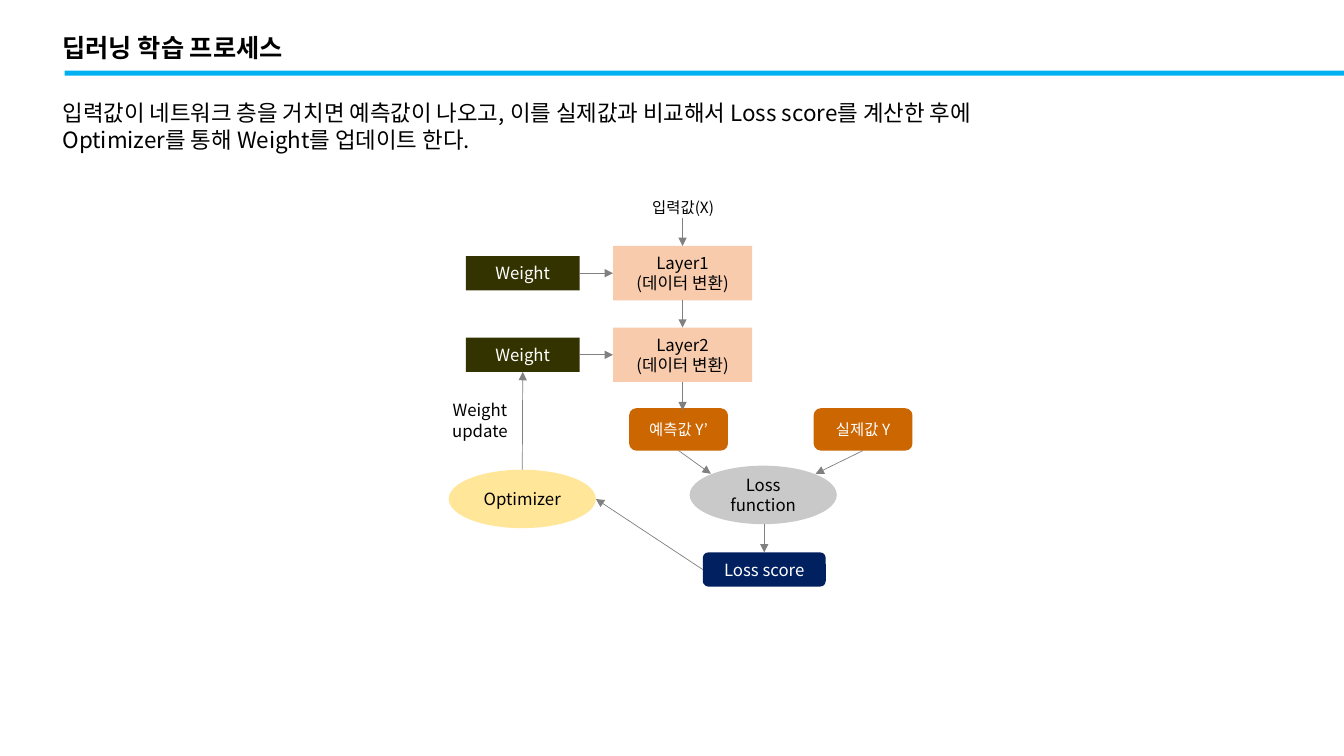
from lxml.etree import SubElement
from pptx import Presentation
from pptx.dml.color import RGBColor
from pptx.enum.shapes import MSO_CONNECTOR, MSO_SHAPE
from pptx.enum.text import MSO_ANCHOR, MSO_AUTO_SIZE, PP_ALIGN
from pptx.oxml.ns import qn
from pptx.util import Emu, Pt

PX = 9144  # 100 px to the inch
FONT = "Noto Sans CJK KR"
COLORS = {
    "black": "000000", "white": "FFFFFF", "rule": "00B0F0", "arrow": "808080",
    "layer": "F8CBAD", "weight": "333300", "optimizer": "FFE699",
    "loss": "C9C9C9", "value": "CC6600", "score": "002060",
}
TOP, LEFT, BOTTOM, RIGHT = range(4)


def px(*values):
    return [Emu(v * PX) for v in values]


def rgb(name):
    return RGBColor.from_string(COLORS[name])


def write(tf, lines, size, color="black", align=PP_ALIGN.CENTER,
          anchor=MSO_ANCHOR.MIDDLE, bold=False, wrap=True):
    tf.word_wrap = wrap
    tf.auto_size = MSO_AUTO_SIZE.NONE
    tf.vertical_anchor = anchor
    for i, line in enumerate(lines):
        p = tf.add_paragraph() if i else tf.paragraphs[0]
        p.alignment = align
        p.space_before = Pt(0)
        r = p.add_run()
        r.text = line
        r.font.size = Pt(size)
        r.font.bold = bold
        r.font.name = FONT
        r.font.color.rgb = rgb(color)
        SubElement(r.font._element, qn("a:ea")).set("typeface", FONT)


def fill_placeholder(sp, box, lines, size, **style):
    sp.left, sp.top, sp.width, sp.height = px(*box)
    write(sp.text_frame, lines, size, align=PP_ALIGN.LEFT, **style)
    for p in sp.text_frame.paragraphs:
        pPr = p._p.get_or_add_pPr()
        pPr.set("marL", "0")
        pPr.set("indent", "0")
        SubElement(pPr, qn("a:buNone"))


def add_node(s, kind, box, fill, lines=(), size=12, color="black"):
    sp = s.shapes.add_shape(kind, *px(*box))
    sp.shadow.inherit = False
    sp.fill.solid()
    sp.fill.fore_color.rgb = rgb(fill)
    sp.line.fill.background()
    write(sp.text_frame, lines, size, color)
    return sp


def add_label(s, box, lines, size):
    sp = s.shapes.add_textbox(*px(*box))
    write(sp.text_frame, lines, size, anchor=MSO_ANCHOR.TOP, wrap=False)


def add_arrow(s, start, end, source=None, target=None):
    """source and target are (shape, side) pairs to join."""
    cx = s.shapes.add_connector(MSO_CONNECTOR.STRAIGHT, *px(*start, *end))
    if source:
        cx.begin_connect(*source)
    if target:
        cx.end_connect(*target)
    cx.line.color.rgb = rgb("arrow")
    cx.line.width = Pt(0.5)
    SubElement(cx.line._get_or_add_ln(), qn("a:tailEnd")).set("type", "triangle")
    SubElement(cx._element.spPr, qn("a:effectLst"))


def main():
    prs = Presentation()
    prs.slide_width, prs.slide_height = px(1333, 750)
    s = prs.slides.add_slide(prs.slide_layouts[1])

    # Heading and explanation
    add_node(s, MSO_SHAPE.RECTANGLE, (64, 70, 1269, 5), "rule")
    title, body = s.placeholders
    fill_placeholder(title, (52, 27, 604, 40), ["딥러닝 학습 프로세스"], 18, bold=True)
    fill_placeholder(body, (52, 93, 1212, 64), [
        "입력값이 네트워크 층을 거치면 예측값이 나오고, 이를 실제값과 비교해서 Loss score를 계산한 후에",
        "Optimizer를 통해 Weight를 업데이트 한다.",
    ], 16, anchor=MSO_ANCHOR.TOP)

    # Layers with their weights
    layers, weights = [], []
    for i in range(2):
        y = 244 + 81 * i
        layers.append(add_node(s, MSO_SHAPE.RECTANGLE, (608, y, 138, 54), "layer",
                               [f"Layer{i + 1}", "(데이터 변환)"]))
        weights.append(add_node(s, MSO_SHAPE.RECTANGLE, (462, y + 10, 113, 34),
                                "weight", ["Weight"], color="white"))

    # Predicted and actual values
    predicted, actual = [
        add_node(s, MSO_SHAPE.ROUNDED_RECTANGLE, (x, 405, 98, 42), "value",
                 [text], 11, "white")
        for x, text in ((624, "예측값 Y’"), (807, "실제값 Y"))]

    # Loss and optimizer
    add_node(s, MSO_SHAPE.OVAL, (684, 462, 146, 58), "loss", ["Loss function"])
    add_node(s, MSO_SHAPE.OVAL, (445, 466, 146, 58), "optimizer", ["Optimizer"])
    score = add_node(s, MSO_SHAPE.ROUNDED_RECTANGLE, (697, 548, 122, 34), "score",
                     ["Loss score"], color="white")

    # Labels
    add_label(s, (633, 192, 89, 29), ["입력값(X)"], 11)
    add_label(s, (427, 392, 98, 50), ["Weight", "update"], 12)

    # Forward pass
    add_arrow(s, (677, 216), (677, 244), target=(layers[0], TOP))
    add_arrow(s, (677, 298), (677, 325), (layers[0], BOTTOM), (layers[1], TOP))
    add_arrow(s, (677, 379), (677, 407), (layers[1], BOTTOM))
    for weight, layer in zip(weights, layers):
        add_arrow(s, (575, 271), (608, 271), (weight, RIGHT), (layer, LEFT))

    # Loss and weight update
    add_arrow(s, (673, 447), (705, 470), (predicted, BOTTOM))
    add_arrow(s, (856, 447), (809, 470), (actual, BOTTOM))
    add_arrow(s, (758, 520), (758, 548), target=(score, TOP))
    add_arrow(s, (697, 565), (591, 495), (score, LEFT))
    add_arrow(s, (518, 466), (518, 369), target=(weights[1], BOTTOM))

    prs.save("out.pptx")


if __name__ == "__main__":
    main()
